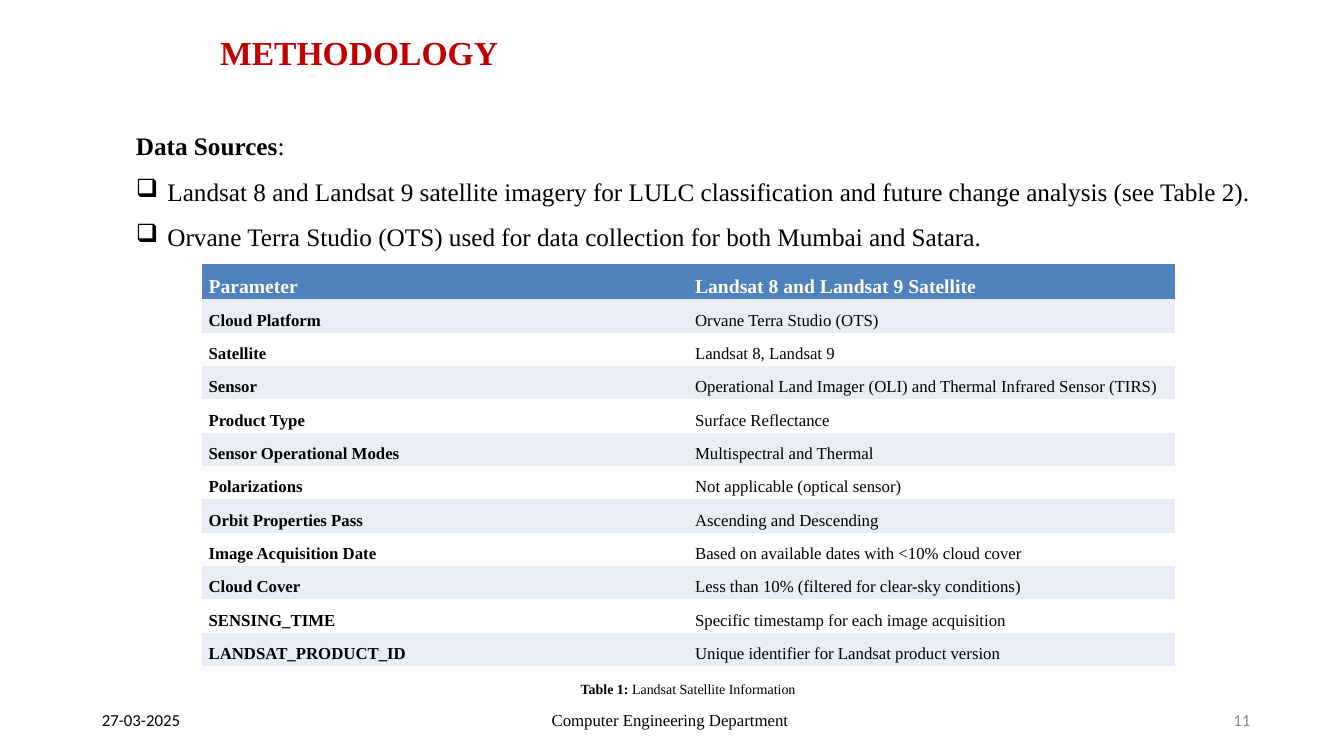
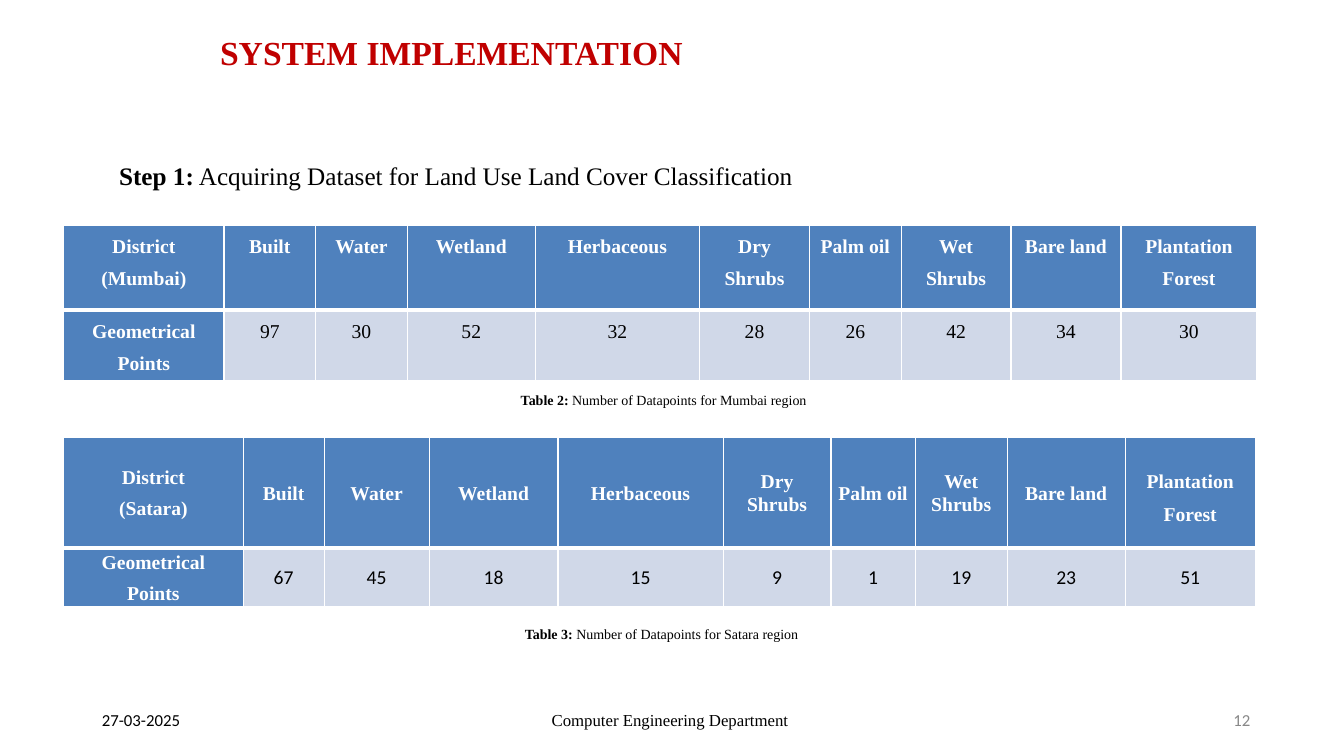
from lxml.etree import SubElement
from pptx import Presentation
from pptx.dml.color import RGBColor
from pptx.enum.text import MSO_ANCHOR as Anchor, MSO_AUTO_SIZE as AutoSize, PP_ALIGN as Align
from pptx.oxml.ns import qn
from pptx.util import Pt

SERIF, SANS = "Times New Roman", "Calibri"
BLACK, WHITE, RED, GREY = "000000", "FFFFFF", "C00000", "888888"
HEADER, BAND, BODY = "4F81BD", "E9EDF4", "D0D8E8"
PLAIN_TABLE = "{2D5ABB26-0587-4C30-8999-92F81FD0307C}"

PARAMETERS = [
    ("Parameter", "Landsat 8 and Landsat 9 Satellite"),
    ("Cloud Platform", "Orvane Terra Studio (OTS)"),
    ("Satellite", "Landsat 8, Landsat 9"),
    ("Sensor", "Operational Land Imager (OLI) and Thermal Infrared Sensor (TIRS)"),
    ("Product Type", "Surface Reflectance"),
    ("Sensor Operational Modes", "Multispectral and Thermal"),
    ("Polarizations", "Not applicable (optical sensor)"),
    ("Orbit Properties Pass", "Ascending and Descending"),
    ("Image Acquisition Date", "Based on available dates with <10% cloud cover"),
    ("Cloud Cover", "Less than 10% (filtered for clear-sky conditions)"),
    ("SENSING_TIME", "Specific timestamp for each image acquisition"),
    ("LANDSAT_PRODUCT_ID", "Unique identifier for Landsat product version"),
]
CLASSES = ["Built", "Water", "Wetland", "Herbaceous", "Dry Shrubs", "Palm oil",
           "Wet Shrubs", "Bare land", "Plantation Forest"]
MUMBAI = [97, 30, 52, 32, 28, 26, 42, 34, 30]
SATARA = [67, 45, 18, 15, 9, 1, 19, 23, 51]
MUMBAI_COLS = [114.5, 65.5, 65.5, 91.4, 117.4, 78.5, 65.5, 78.5, 78.5, 97.2]
SATARA_COLS = [128.2, 57.9, 75, 92.1, 117.9, 77.1, 60.2, 65.7, 84.3, 92.9]


def rgb(color):
    return RGBColor.from_string(color)


def style(p, size, color=BLACK, font=SERIF, bold=False, align=Align.LEFT, spacing=1.5):
    p.alignment, p.line_spacing = align, spacing
    for r in p.runs:
        r.font.name, r.font.size, r.font.bold = font, Pt(size), bold
        r.font.color.rgb = rgb(color)


def add_text(slide, box, text, size, lead="", inset=True, **kw):
    """Add a text box whose first paragraph may open with a bold lead."""
    tf = slide.shapes.add_textbox(*map(Pt, box)).text_frame
    tf.word_wrap = True
    if not inset:
        tf.margin_left = tf.margin_right = tf.margin_top = tf.margin_bottom = 0
    tf.text = text
    for p in tf.paragraphs:
        style(p, size, **kw)
    if lead:
        first = tf.paragraphs[0]
        rest = first.text
        first.text = lead
        first.add_run().text = rest
        style(first, size, **kw)
        first.runs[0].font.bold = True
    return tf


def add_bullet(p, indent):
    pPr = p._p.get_or_add_pPr()
    pPr.set("marL", str(Pt(indent)))
    pPr.set("indent", str(-Pt(indent)))
    SubElement(pPr, qn("a:buChar"), char="❑")


def add_caption(slide, box, number, text):
    add_text(slide, box, text, 10, lead=f"Table {number}: ", align=Align.CENTER)


def add_table(slide, left, top, cols, rows):
    frame = slide.shapes.add_table(len(rows), len(cols), Pt(left), Pt(top),
                                   Pt(sum(cols)), Pt(sum(rows)))
    table = frame.table
    table._tbl.tblPr.find(qn("a:tableStyleId")).text = PLAIN_TABLE
    for col, width in zip(table.columns, cols):
        col.width = Pt(width)
    for row, height in zip(table.rows, rows):
        row.height = Pt(height)
    return table


def fill_cell(cell, text, fill, anchor=Anchor.MIDDLE, after=None, **kw):
    cell.margin_left = cell.margin_right = Pt(5)
    cell.margin_top = cell.margin_bottom = 0
    cell.vertical_anchor = anchor
    cell.fill.solid()
    cell.fill.fore_color.rgb = rgb(fill)
    cell.text = text
    for p in cell.text_frame.paragraphs:
        style(p, **kw)
        if after:
            p.space_after = Pt(after)


def add_borders(cell, **widths):
    """Draw white borders; the keys are the sides L, R, T and B."""
    tcPr = cell._tc.get_or_add_tcPr()
    for side, width in widths.items():
        ln = SubElement(tcPr, qn(f"a:ln{side}"), w=str(Pt(width)))
        SubElement(SubElement(ln, qn("a:solidFill")), qn("a:srgbClr"), val=WHITE)


def add_parameter_table(slide, left, top, width):
    rows = [25] + [23.83] * (len(PARAMETERS) - 1)
    table = add_table(slide, left, top, [width / 2] * 2, rows)
    for i, row in enumerate(PARAMETERS):
        for j, text in enumerate(row):
            cell = table.cell(i, j)
            if i == 0:
                fill_cell(cell, text, HEADER, size=14, color=WHITE, bold=True)
            else:
                fill_cell(cell, text, BAND if i % 2 else WHITE, size=12, bold=j == 0)


def add_points_table(slide, left, top, cols, rows, heads, points, wide=(),
                     number_font=SERIF, spacing=1.5, **kw):
    """Add a header row and a row of counts; columns in wide keep 1.5 line spacing."""
    table = add_table(slide, left, top, cols, rows)
    texts = [[heads[0], *CLASSES], [heads[1], *map(str, points)]]
    for i, row in enumerate(texts):
        for j, text in enumerate(row):
            cell = table.cell(i, j)
            add_borders(cell, L=1, R=1, T=3 if i else 1, B=1 if i else 3)
            head = i == 0 or j == 0
            fill_cell(cell, text, HEADER if head else BODY, size=14, bold=head,
                      color=WHITE if head else BLACK, font=SERIF if head else number_font,
                      align=Align.CENTER, spacing=1.5 if text in wide else spacing, **kw)


def add_slide(prs, title, number):
    slide = prs.slides.add_slide(prs.slide_layouts[5])
    sp = slide.shapes.title
    sp.left, sp.top, sp.width, sp.height = map(Pt, (150, 19.5, 546, 36))
    tf = sp.text_frame
    tf.text = title
    tf.auto_size, tf.vertical_anchor = AutoSize.NONE, Anchor.TOP
    style(tf.paragraphs[0], 24, RED, bold=True, spacing=1)
    footer = [(72.7, 70, "27-03-2025", SANS, BLACK),
              (394, 190, "Computer Engineering Department", SERIF, BLACK),
              (881, 30, str(number), SANS, GREY)]
    for left, width, text, font, color in footer:
        add_text(slide, (left, 509, width, 12.4), text, 12, inset=False,
                 font=font, color=color, spacing=Pt(12.4))
    return slide


def methodology(prs):
    slide = add_slide(prs, "METHODOLOGY", 11)
    left, width = 144, 695
    add_parameter_table(slide, left, 188.5, width)
    tf = add_text(slide, (90, 79, 816, 101.5),
                  ":\nLandsat 8 and Landsat 9 satellite imagery for LULC classification "
                  "and future change analysis (see Table 2).\nOrvane Terra Studio (OTS) "
                  "used for data collection for both Mumbai and Satara.",
                  18, lead="Data Sources")
    for p in tf.paragraphs[1:]:
        add_bullet(p, 22.5)
    add_caption(slide, (left, 476.5, width, 23), 1, "Landsat Satellite Information")


def implementation(prs):
    slide = add_slide(prs, "SYSTEM IMPLEMENTATION", 12)
    left, width = 45.5, 852
    add_text(slide, (78, 100, 546, 36),
             " Acquiring Dataset for Land Use Land Cover Classification", 18, lead="Step 1:")
    add_points_table(slide, left, 160.7, MUMBAI_COLS, [60.8, 48],
                     ("District (Mumbai)", "Geometrical Points"), MUMBAI, anchor=Anchor.TOP)
    add_caption(slide, (48, 270, width, 23), 2, "Number of Datapoints for Mumbai region")
    add_points_table(slide, left, 312.5, SATARA_COLS, [79, 37],
                     ("District\n(Satara)", "Geometrical\nPoints"), SATARA,
                     wide=("Plantation Forest",), number_font=SANS, spacing=1.07, after=6)
    add_caption(slide, (48, 437, width - 3, 23), 3, "Number of Datapoints for Satara region")


def main():
    prs = Presentation()
    prs.slide_width, prs.slide_height = Pt(960), Pt(540)
    methodology(prs)
    implementation(prs)
    prs.save("out.pptx")


if __name__ == "__main__":
    main()
